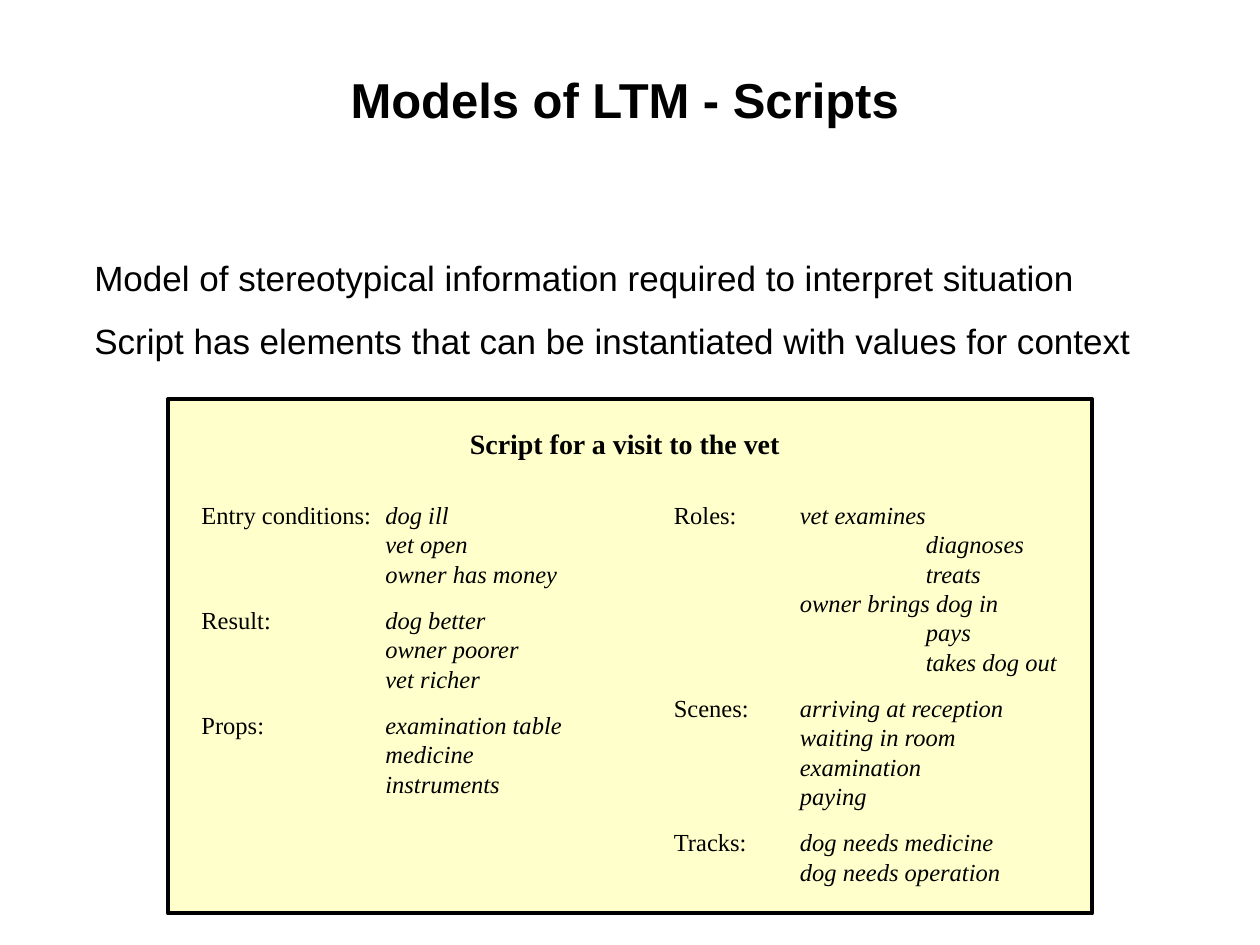
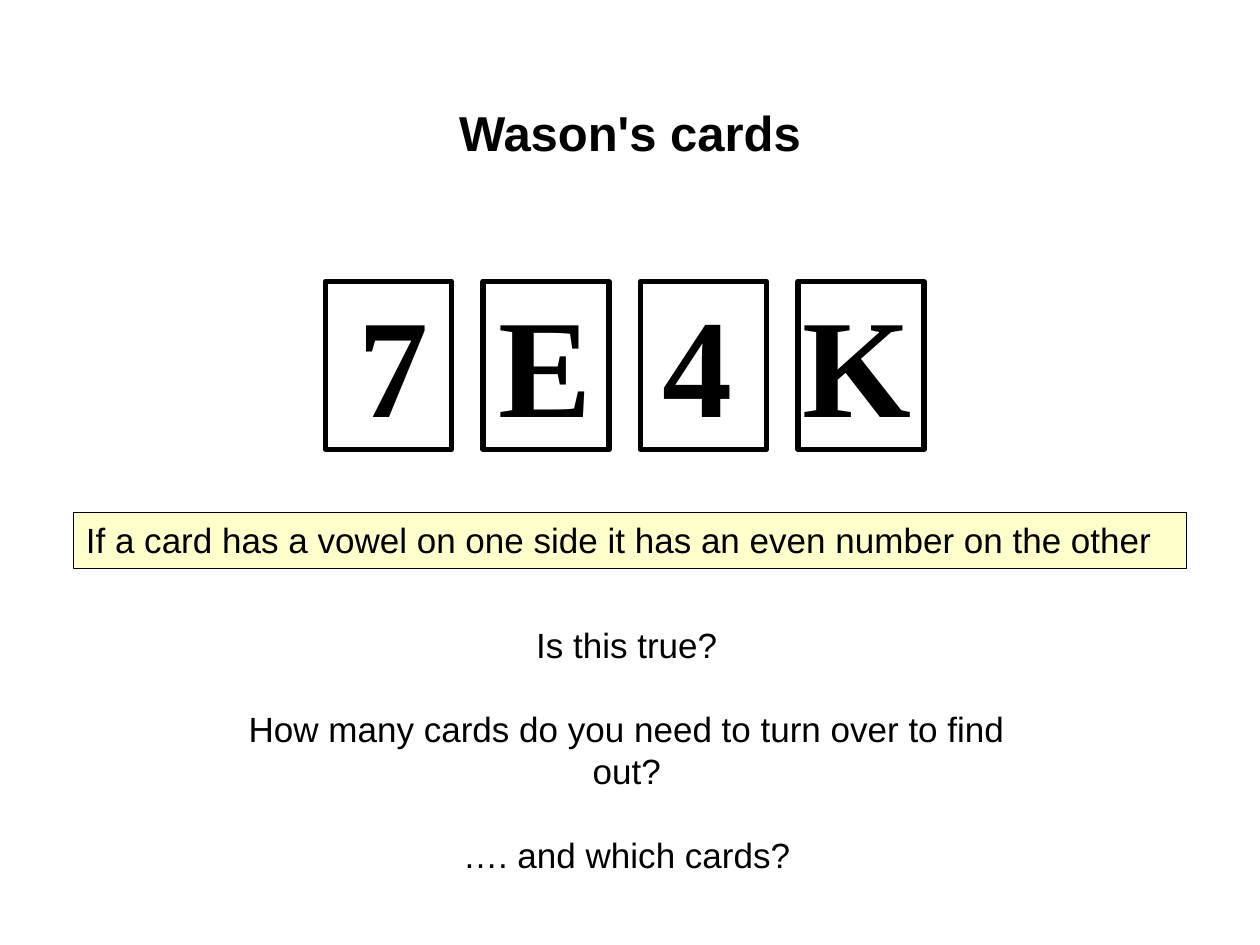
import pptx
import pptx.util
import pptx.dml.color
import pptx.enum.shapes
import pptx.enum.text
import pptx.oxml.ns
from lxml import etree

# Shared look
BLACK = pptx.dml.color.RGBColor(0x00, 0x00, 0x00)
CREAM = pptx.dml.color.RGBColor(0xFF, 0xFF, 0xCC)
SANS, SERIF = "Arial", "Times New Roman"
TITLE_SIZE, BODY_SIZE, HEADING_SIZE, ENTRY_SIZE, CARD_SIZE = 28, 20, 16, 14, 80
LEADING = 1.2
LEFT = pptx.enum.text.PP_ALIGN.LEFT
CENTER = pptx.enum.text.PP_ALIGN.CENTER

deck = pptx.Presentation()
deck.slide_width = pptx.util.Inches(10)
deck.slide_height = pptx.util.Inches(7.5)
UNIT = deck.slide_width / 120  # the slide is a grid of 120 columns by 90 rows


def to_grid(box):
    return [round(UNIT * cells) for cells in box]


def inside(box, left, top, width, height):
    """A box offset from the corner of its parent, in grid cells."""
    return box[0] + left, box[1] + top, width, height


def add_panel(shapes, box, fill=None, line_width=None):
    panel = shapes.add_shape(pptx.enum.shapes.MSO_SHAPE.RECTANGLE, *to_grid(box))
    panel.shadow.inherit = False
    if fill is None:
        panel.fill.background()
    else:
        panel.fill.solid()
        panel.fill.fore_color.rgb = fill
    if line_width is None:
        panel.line.fill.background()
    else:
        panel.line.color.rgb = BLACK
        panel.line.width = pptx.util.Pt(line_width)
    return panel


def set_tabs(paragraph, stops):
    properties = paragraph._p.get_or_add_pPr()
    tab_list = etree.SubElement(properties, pptx.oxml.ns.qn("a:tabLst"))
    for stop in stops:
        etree.SubElement(tab_list, pptx.oxml.ns.qn("a:tab"),
                         pos=str(pptx.util.Inches(stop)), algn="l")


def write(holder, lines, size, font, bold=False, align=LEFT, wrap=False,
          tabs=(), gap=0, gap_lines=None):
    """Fill a shape; a line is a list of (text, italic) runs or a plain string.

    The gap, in points, goes above gap_lines, or above all but the first line.
    """
    frame = holder.text_frame
    frame.word_wrap = wrap
    frame.auto_size = pptx.enum.text.MSO_AUTO_SIZE.SHAPE_TO_FIT_TEXT
    frame.vertical_anchor = pptx.enum.text.MSO_ANCHOR.TOP
    for number, line in enumerate(lines):
        paragraph = frame.add_paragraph() if number else frame.paragraphs[0]
        if tabs:
            set_tabs(paragraph, tabs)
        paragraph.alignment = align
        paragraph.line_spacing = pptx.util.Pt(size * LEADING)
        if number and (gap_lines is None or number in gap_lines):
            paragraph.space_before = pptx.util.Pt(gap)
        paragraph.font.size = pptx.util.Pt(size)
        paragraph.font.name = font
        paragraph.font.bold = bold
        paragraph.font.color.rgb = BLACK
        for text, italic in [(line, False)] if isinstance(line, str) else line:
            run = paragraph.add_run()
            run.text = text
            if italic:
                run.font.italic = True


def add_text(shapes, box, lines, size, font, **style):
    write(shapes.add_textbox(*to_grid(box)), lines, size, font, **style)


def add_title(slide, box, title):
    add_text(slide.shapes, box, [title], TITLE_SIZE, SANS, bold=True, align=CENTER)


def add_entries(shapes, box, entries, tabs, wrap):
    """Labels with their values in the next tab column."""
    lines, starts = [], []
    for label, values in entries:
        starts.append(len(lines))
        lines.append([(label + "\t", False), (values[0], True)])
        lines += [[("\t" + value, True)] for value in values[1:]]
    write(add_panel(shapes, box, CREAM), lines, ENTRY_SIZE, SERIF, wrap=wrap,
          tabs=tabs, gap=9.6, gap_lines=starts)


def add_script(slide, box, heading, left_entries, right_entries):
    shapes = slide.shapes.add_group_shape().shapes
    add_panel(shapes, box, CREAM, 2.25)
    write(add_panel(shapes, inside(box, 27, 2, 33, 4.4), CREAM), [heading],
          HEADING_SIZE, SERIF, bold=True, align=CENTER, wrap=True)
    add_entries(shapes, inside(box, 2, 9, 39, 29.6), left_entries, (1.46,), True)
    add_entries(shapes, inside(box, 47, 9, 38.9, 38), right_entries, (1, 2), False)


def add_cards(slide, box, faces, tabs):
    shapes = slide.shapes.add_group_shape().shapes
    card_width, pitch = 12, 15
    for index in range(len(faces)):
        add_panel(shapes, inside(box, index * pitch, 0, card_width, box[3]),
                  line_width=3)
    add_text(shapes, inside(box, 2, -1, 55, 17.3), ["\t".join(faces)],
             CARD_SIZE, SERIF, bold=True, tabs=tabs)


def scripts_slide():
    slide = deck.slides.add_slide(deck.slide_layouts[6])
    add_title(slide, (32, 6, 55, 6.8), "Models of LTM - Scripts")
    add_text(slide.shapes, (7.8, 23.8, 101.2, 11.3), [
        "Model of stereotypical information required to interpret situation",
        "Script has elements that can be instantiated with values for context",
    ], BODY_SIZE, SANS, gap=12)
    add_script(slide, (16, 38, 88, 49), "Script for a visit to the vet", [
        ("Entry conditions:", ["dog ill", "vet open", "owner has money"]),
        ("Result:", ["dog better", "owner poorer", "vet richer"]),
        ("Props:", ["examination table", "medicine", "instruments"]),
    ], [
        ("Roles:", ["vet examines", "\tdiagnoses", "\ttreats",
                    "owner brings dog in", "\tpays", "\ttakes dog out"]),
        ("Scenes:", ["arriving at reception", "waiting in room",
                     "examination", "paying"]),
        ("Tracks:", ["dog needs medicine", "dog needs operation"]),
    ])


def cards_slide():
    slide = deck.slides.add_slide(deck.slide_layouts[6])
    # Rule to be tested
    write(add_panel(slide.shapes, (7, 48.8, 106, 5.3), CREAM, 0.25),
          ["If a card has a vowel on one side it has an even number on the other"],
          BODY_SIZE, SANS, wrap=True)
    add_cards(slide, (31, 26.8, 57, 16), "7E4K", (1.11, 2.41, 3.52))
    add_title(slide, (39, 9.2, 42, 6.8), "Wason's cards")
    # Questions to the audience
    add_text(slide.shapes, (18.8, 58.8, 81.8, 21.2), [
        "Is this true?",
        "How many cards do you need to turn over to find out?",
        "…. and which cards?",
    ], BODY_SIZE, SANS, align=CENTER, gap=24)


scripts_slide()
cards_slide()
deck.save("out.pptx")
